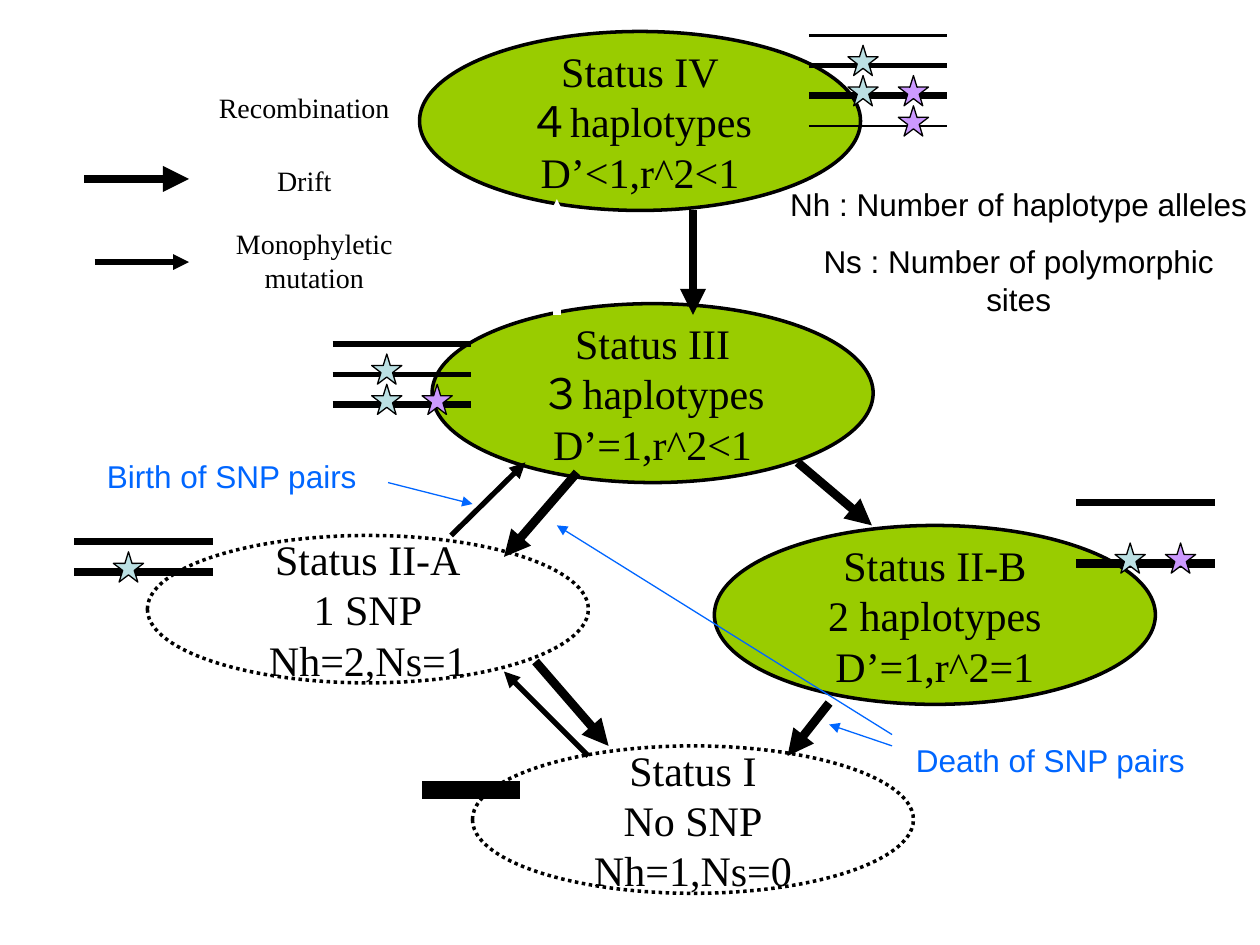
"""Build the slide on haplotype status changes for SNP pairs."""
import pptx
import pptx.dml.color
import pptx.enum.dml
import pptx.enum.shapes
import pptx.enum.text
import pptx.oxml.ns
import pptx.util
from lxml import etree

Inches = pptx.util.Inches
Pt = pptx.util.Pt
Shape = pptx.enum.shapes.MSO_SHAPE
Align = pptx.enum.text.PP_ALIGN
COLORS = {"ink": "000000", "paper": "FFFFFF", "green": "99CC00",
          "blue": "0066FF", "aqua": "BBE0E3", "violet": "CC99FF"}
SERIF, SANS = "Times New Roman", "Arial"


class Board:
    """Hold the style and the current slide."""

    def __init__(self, slide):
        self.slide = slide
        self.gap = 0.24
        self.marks = {"aqua": 0.31, "violet": 0.71}

    def color(self, name):
        return pptx.dml.color.RGBColor.from_string(COLORS[name])

    def words(self, frame, lines, font, size, tint="ink", align=Align.CENTER, before=0):
        frame.text = "\n".join(lines)
        for para in frame.paragraphs:
            para.alignment = align
            para.space_before = Pt(before)
            face = para.runs[0].font
            for key, value in {"name": font, "size": Pt(size)}.items():
                setattr(face, key, value)
            face.color.rgb = self.color(tint)

    def label(self, x, y, w, h, lines, **style):
        frame = self.slide.shapes.add_textbox(*map(Inches, (x, y, w, h))).text_frame
        form = {"word_wrap": True,
                "auto_size": pptx.enum.text.MSO_AUTO_SIZE.SHAPE_TO_FIT_TEXT}
        for key, value in form.items():
            setattr(frame, key, value)
        self.words(frame, lines, **style)

    def shape(self, home, kind, box, fill, width):
        item = home.add_shape(kind, *map(Inches, box))
        item.shadow.inherit = False
        if fill:
            item.fill.solid()
            item.fill.fore_color.rgb = self.color(fill)
        else:
            item.fill.background()
        item.line.color.rgb = self.color("ink")
        item.line.width = Pt(width)
        return item

    def status(self, x, y, lines, full):
        box = (x, y, 3.5, 1.42 if full else 1.17)
        item = self.shape(self.slide.shapes, Shape.OVAL, box, "green" if full else None, 2)
        if not full:
            item.line.dash_style = pptx.enum.dml.MSO_LINE.ROUND_DOT
        form = {"word_wrap": False,
                "vertical_anchor": pptx.enum.text.MSO_ANCHOR.MIDDLE}
        for key, value in form.items():
            setattr(item.text_frame, key, value)
        self.words(item.text_frame, lines, SERIF, 24)

    def line(self, home, ends, width, tint="ink"):
        item = home.add_connector(pptx.enum.shapes.MSO_CONNECTOR.STRAIGHT,
                                  *map(Inches, ends))
        item.line.color.rgb = self.color(tint)
        item.line.width = Pt(width)
        etree.SubElement(item.element.spPr, pptx.oxml.ns.qn("a:effectLst"))
        return item

    def arrow(self, ends, width, tint="ink"):
        item = self.line(self.slide.shapes, ends, width, tint)
        stroke = item.element.spPr.find(pptx.oxml.ns.qn("a:ln"))
        etree.SubElement(stroke, pptx.oxml.ns.qn("a:tailEnd"), type="triangle")

    def strands(self, x, y, rows):
        home = self.slide.shapes.add_group_shape().shapes
        for step, width, marks in rows:
            top = y + step * self.gap
            self.line(home, (x, top, x + 1.1, top), width)
            for mark in marks:
                box = (x + self.marks[mark], top - 0.16, 0.24, 0.24)
                self.shape(home, Shape.STAR_5_POINT, box, mark, 0.75)


def main():
    deck = pptx.Presentation()
    deck.slide_width, deck.slide_height = Inches(10), Inches(7.5)
    board = Board(deck.slides.add_slide(deck.slide_layouts[6]))

    note = {"font": SANS, "size": 18, "before": 11.2}
    board.label(6.17, 1.42, 3.83, 1.16, ["Nh : Number of haplotype alleles",
                                         "Ns : Number of polymorphic sites"], **note)

    for x, y, lines, full in (
            (3.33, 0.25, ["Status IV", "４haplotypes", "D’<1,r^2<1"], True),
            (3.75, 5.92, ["Status I", "No SNP", "Nh=1,Ns=0"], False),
            (1.17, 4.25, ["Status II-A", "1 SNP", "Nh=2,Ns=1"], False),
            (3.43, 2.41, ["Status III", "３haplotypes", "D’=1,r^2<1"], True),
            (5.67, 4.17, ["Status II-B", "2 haplotypes", "D’=1,r^2=1"], True)):
        board.status(x, y, lines, full)

    births = [(3.58, 4.25, 4.17, 3.67), (4.67, 6, 4, 5.33), (0.75, 2.08, 1.5, 2.08)]
    drifts = [(5.5, 1.67, 5.5, 2.5), (6.33, 3.67, 6.92, 4.17), (4.58, 3.75, 4, 4.42),
              (4.25, 5.25, 4.83, 5.92), (6.58, 5.58, 6.25, 6), (0.67, 1.42, 1.5, 1.42)]
    hints = [(3.08, 3.83, 3.75, 4), (7.08, 5.83, 4.42, 4.17), (7.08, 5.92, 6.58, 5.75)]
    mixes = [(4.42, 2.5, 4.42, 1.58)]
    for group, width, tint in ((births, 3, "ink"), (drifts, 5, "ink"),
                               (mixes, 5, "paper"), (hints, 0.75, "blue")):
        for ends in group:
            board.arrow(ends, width, tint)

    for x, y, h, text in ((1.5, 0.67, 0.37, "Recombination"), (1.5, 1.25, 0.37, "Drift"),
                          (1.58, 1.75, 0.64, "Monophyletic mutation")):
        board.label(x, y, 1.83, h, [text], font=SERIF, size=16, before=10)
    for x, y, w, text in ((0.75, 3.58, 2.25, "Birth of SNP pairs"),
                          (7.17, 5.83, 2.58, "Death of SNP pairs")):
        board.label(x, y, w, 0.4, [text], tint="blue", align=Align.LEFT, **note)

    one, two, both = ["aqua"], ["violet"], ["violet", "aqua"]
    for x, y, rows in (
            (2.64, 2.73, [(0, 3, []), (1, 3, one), (2, 4, both)]),
            (6.42, 0.28, [(0, 2, []), (1, 3, one), (2, 4, both), (3, 1, two)]),
            (8.54, 3.99, [(0, 4, []), (2, 5, both)]),
            (0.59, 4.3, [(0, 4, []), (1, 5, one)])):
        board.strands(x, y, rows)
    board.line(board.slide.shapes, (3.35, 6.27, 4.13, 6.27), 10)

    deck.save("out.pptx")


if __name__ == "__main__":
    main()
